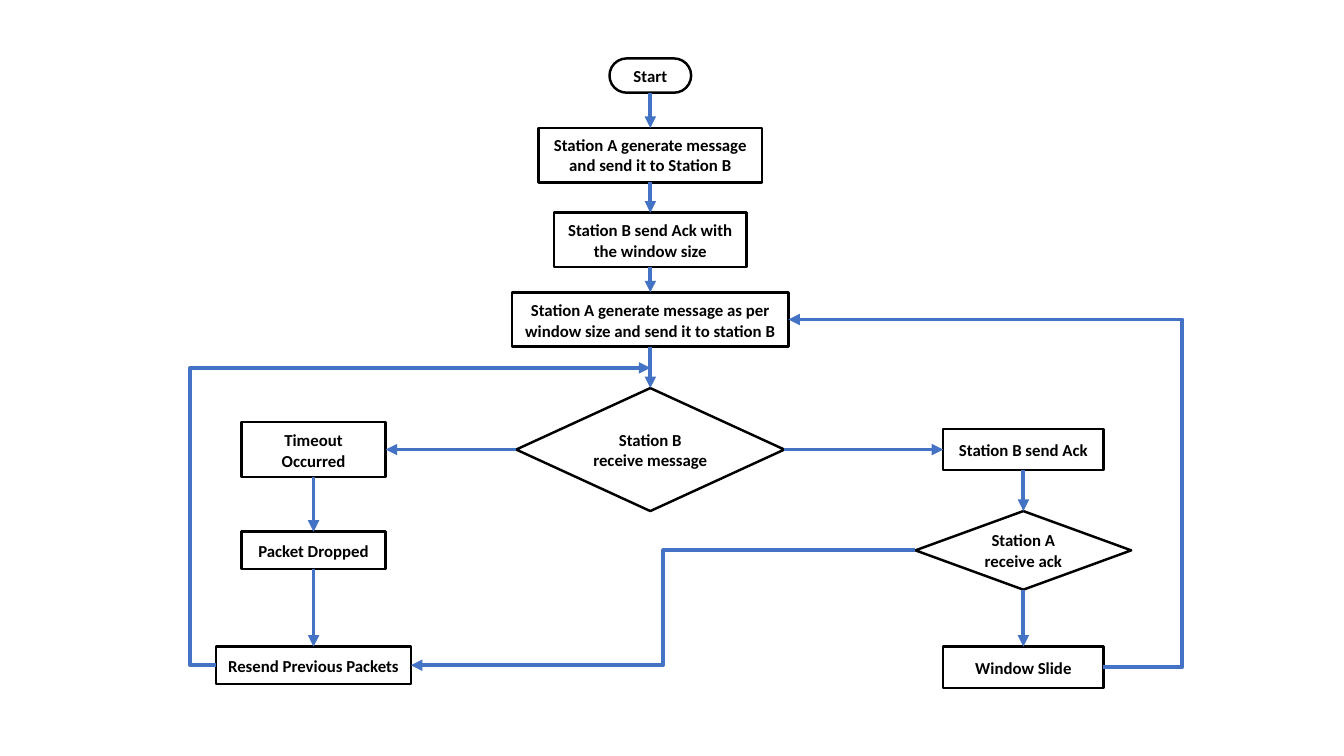
import pptx
import pptx.util
import pptx.dml.color
import pptx.enum.shapes
import pptx.enum.text
import pptx.oxml
import pptx.oxml.ns
from pptx.util import Inches

BLACK = pptx.dml.color.RGBColor(0x00, 0x00, 0x00)
WHITE = pptx.dml.color.RGBColor(0xFF, 0xFF, 0xFF)
BLUE = pptx.dml.color.RGBColor(0x44, 0x72, 0xC4)
KIND = pptx.enum.shapes.MSO_SHAPE
LINK = pptx.enum.shapes.MSO_CONNECTOR
TOP, LEFT, BOTTOM, RIGHT = range(4)

deck = pptx.Presentation()
deck.slide_width = Inches(13.33)
deck.slide_height = Inches(7.5)
slide = deck.slides.add_slide(deck.slide_layouts[6])

# Column centres
MID, WEST, EAST = 6.45, 3.11, 10.15

# Steps: name, shape, centre x, centre y, width, height, loose spacing, text
steps = [
    ("start", KIND.ROUNDED_RECTANGLE, MID, 0.75, 0.81, 0.34, False, "Start"),
    ("first", KIND.RECTANGLE, MID, 1.54, 2.22, 0.54, False,
     "Station A generate message and send it to Station B"),
    ("size", KIND.RECTANGLE, MID, 2.38, 1.91, 0.54, True,
     "Station B send Ack with the window size"),
    ("send", KIND.RECTANGLE, MID, 3.17, 2.74, 0.54, True,
     "Station A generate message as per window size and send it to station B"),
    ("got", KIND.FLOWCHART_DECISION, MID, 4.46, 2.66, 1.22, False,
     "Station B receive message"),
    ("timeout", KIND.RECTANGLE, WEST, 4.46, 1.43, 0.55, True, "Timeout Occurred"),
    ("dropped", KIND.RECTANGLE, WEST, 5.46, 1.43, 0.37, True, "Packet Dropped"),
    ("resend", KIND.RECTANGLE, WEST, 6.6, 1.93, 0.37, True,
     "Resend Previous Packets"),
    ("ack", KIND.RECTANGLE, EAST, 4.46, 1.59, 0.41, True, "Station B send Ack"),
    ("acked", KIND.FLOWCHART_DECISION, EAST, 5.46, 2.14, 0.78, False,
     "Station A receive ack"),
    ("slide", KIND.RECTANGLE, EAST, 6.62, 1.59, 0.41, True, "Window Slide"),
]
box = {}
for name, kind, x, y, wide, high, loose, text in steps:
    shape = slide.shapes.add_shape(kind, Inches(x - wide / 2), Inches(y - high / 2),
                                   Inches(wide), Inches(high))
    if kind == KIND.ROUNDED_RECTANGLE:
        shape.adjustments[0] = 0.5
    shape.shadow.inherit = False
    shape.fill.solid()
    shape.fill.fore_color.rgb = WHITE
    shape.line.color.rgb = BLACK
    shape.line.width = pptx.util.Pt(1.75)
    frame = shape.text_frame
    frame.word_wrap = True
    frame.vertical_anchor = pptx.enum.text.MSO_ANCHOR.MIDDLE
    frame.text = text
    para = frame.paragraphs[0]
    para.alignment = pptx.enum.text.PP_ALIGN.CENTER
    if loose:
        para.line_spacing = 1.06
        para.space_after = pptx.util.Pt(8)
    para.font.name = "Calibri"
    para.font.size = pptx.util.Pt(12)
    para.font.bold = True
    para.font.color.rgb = BLACK
    box[name] = shape


def arrow(kind, source, side, target=None, end=None, bend=None, point=(0, 0)):
    """Join two steps, or a step and a point; bend is a share of the width."""
    link = slide.shapes.add_connector(kind, 0, 0, Inches(point[0]), Inches(point[1]))
    link.begin_connect(box[source], side)
    if target:
        link.end_connect(box[target], end)
    link.line.color.rgb = BLUE
    link.line.width = pptx.util.Pt(2.75)
    tail = pptx.oxml.parse_xml(
        '<a:tailEnd %s type="triangle"/>' % pptx.oxml.ns.nsdecls("a"))
    link.line._get_or_add_ln().append(tail)
    props = link._element.spPr
    props.append(pptx.oxml.parse_xml(
        "<a:effectLst %s/>" % pptx.oxml.ns.nsdecls("a")))
    if bend is not None:
        guide = pptx.oxml.parse_xml(
            '<a:gd %s name="adj1" fmla="val %d"/>'
            % (pptx.oxml.ns.nsdecls("a"), round(bend * 100000)))
        props.find(".//" + pptx.oxml.ns.qn("a:avLst")).append(guide)


# Downward arrows in each column
for chain in (["start", "first", "size", "send", "got"],
              ["timeout", "dropped", "resend"],
              ["ack", "acked", "slide"]):
    for upper, lower in zip(chain, chain[1:]):
        arrow(LINK.STRAIGHT, upper, BOTTOM, lower, TOP)

# Branches of the first decision
arrow(LINK.STRAIGHT, "got", LEFT, "timeout", RIGHT)
arrow(LINK.STRAIGHT, "got", RIGHT, "ack", LEFT)

# Loops back
arrow(LINK.ELBOW, "acked", LEFT, "resend", RIGHT, 0.5)
arrow(LINK.ELBOW, "slide", RIGHT, "send", RIGHT, -0.25)
arrow(LINK.ELBOW, "resend", LEFT, bend=-0.06, point=(MID, 3.65))

deck.save("out.pptx")
